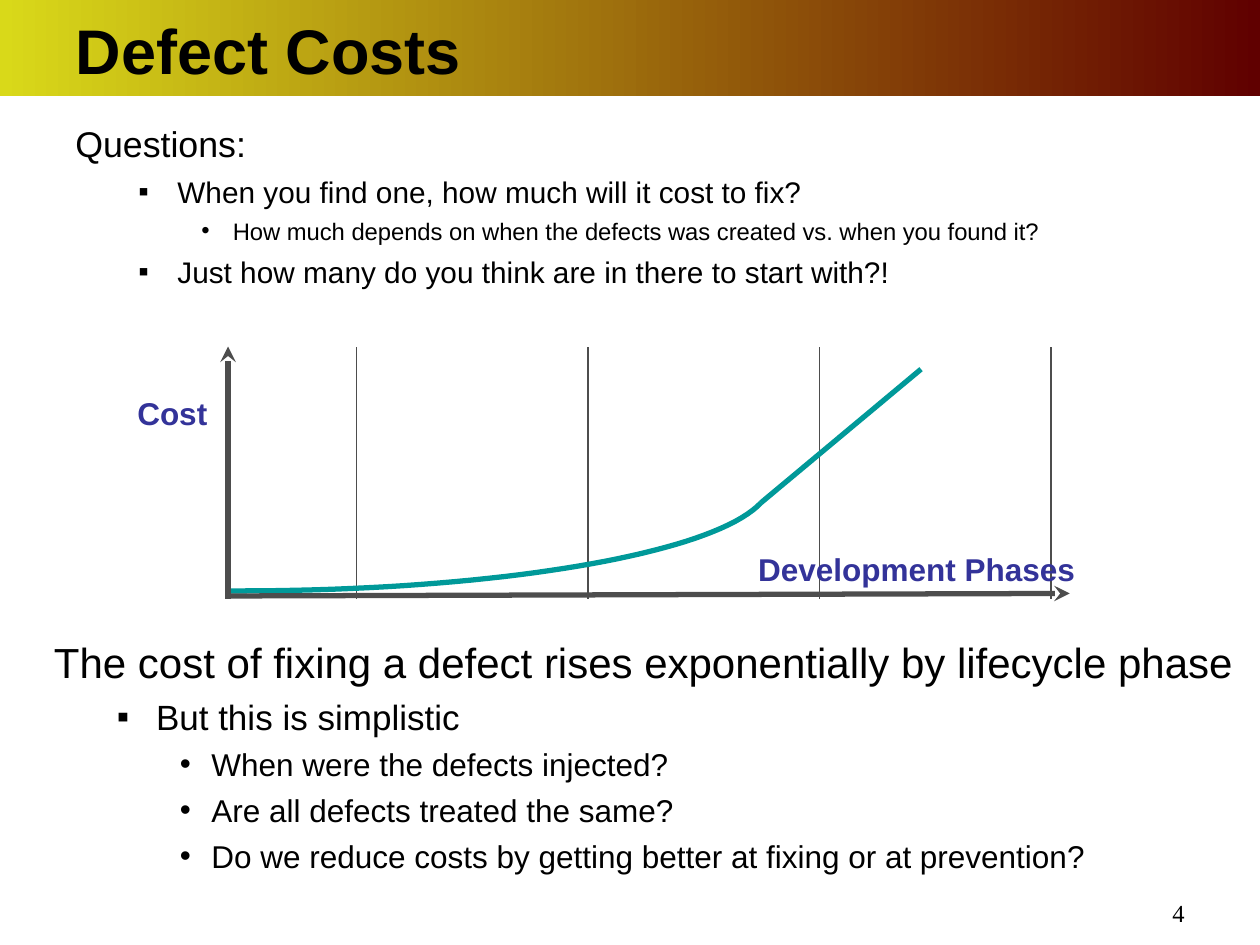
from lxml import etree
from pptx import Presentation
from pptx.dml.color import RGBColor
from pptx.enum.shapes import MSO_CONNECTOR, MSO_SHAPE
from pptx.enum.text import MSO_ANCHOR, PP_ALIGN
from pptx.oxml.ns import qn
from pptx.util import Inches, Pt

STRAIGHT = MSO_CONNECTOR.STRAIGHT
RECTANGLE = MSO_SHAPE.RECTANGLE
TOP, MIDDLE = MSO_ANCHOR.TOP, MSO_ANCHOR.MIDDLE
LEFT, CENTER, RIGHT = PP_ALIGN.LEFT, PP_ALIGN.CENTER, PP_ALIGN.RIGHT

WIDTH, HEIGHT = 10, 7.5
COLORS = {"text": "000000", "label": "333399", "axis": "4D4D4D", "curve": "009999",
          "band_start": "D9D919", "band_end": "600000"}

TITLE = "Defect Costs"
PAGE_NUMBER = "4"
QUESTIONS = [
    (0, "Questions:"),
    (1, "When you find one, how much will it cost to fix?"),
    (2, "How much depends on when the defects was created vs. when you found it?"),
    (1, "Just how many do you think are in there to start with?!"),
]
CONCLUSIONS = [
    (0, "The cost of fixing a defect rises exponentially by lifecycle phase"),
    (1, "But this is simplistic"),
    (2, "When were the defects injected?"),
    (2, "Are all defects treated the same?"),
    (2, "Do we reduce costs by getting better at fixing or at prevention?"),
]
LEVELS = [(0.38, -0.38, None), (0.81, -0.31, "▪"), (1.25, -0.25, "•")]

CHART_TOP, CHART_BOTTOM = 2.75, 4.75
PHASE_COUNT, FIRST_PHASE, PHASE_WIDTH = 4, 2.83, 1.837
CURVE_START = (1.82, 4.69)
CURVE_CONTROLS = [(1.9, 4.69), (3.92, 4.69), (5.66, 4.4), (6.04, 3.99)]
CURVE_STEPS = 40


def rgb(name):
    return RGBColor.from_string(COLORS[name])


def set_bullet(paragraph, level):
    margin, indent, character = LEVELS[level]
    properties = paragraph._p.get_or_add_pPr()
    properties.set("marL", str(Inches(margin)))
    properties.set("indent", str(Inches(indent)))
    if level:
        properties.set("lvl", str(level))
    if character:
        etree.SubElement(properties, qn("a:buFont"), typeface="Arial")
        etree.SubElement(properties, qn("a:buChar"), char=character)
    else:
        etree.SubElement(properties, qn("a:buNone"))


def write_text(shape, items, sizes, color="text", font="Arial", bold=False, align=LEFT,
               anchor=TOP, spacing=None, gaps=(0,), insets=(0.1, 0.05)):
    frame = shape.text_frame
    frame.word_wrap = True
    frame.vertical_anchor = anchor
    frame.margin_left = frame.margin_right = Inches(insets[0])
    frame.margin_top = frame.margin_bottom = Inches(insets[1])
    for index, (level, text) in enumerate(items):
        paragraph = frame.add_paragraph() if index else frame.paragraphs[0]
        paragraph.text = text
        paragraph.alignment = align
        if spacing:
            paragraph.line_spacing = spacing
        paragraph.space_before = Pt(gaps[level] if index else 0)
        set_bullet(paragraph, level) if len(items) > 1 else None
        paragraph.font.size = Pt(sizes[level])
        paragraph.font.name = font
        paragraph.font.bold = bold
        paragraph.font.color.rgb = rgb(color)


def add_text(slide, box, items, sizes, **formatting):
    shape = slide.shapes.add_textbox(*map(Inches, box))
    write_text(shape, items, sizes, **formatting)


def add_line(slide, start, end, color, width, arrow=False):
    line = slide.shapes.add_connector(STRAIGHT, *map(Inches, (*start, *end)))
    line.line.color.rgb = rgb(color)
    line.line.width = Pt(width)
    if arrow:
        etree.SubElement(line.line._get_or_add_ln(), qn("a:tailEnd"), type="stealth")
    etree.SubElement(line._element.spPr, qn("a:effectLst"))


def bezier(controls, share):
    weights = [(1 - share) ** 3, 3 * share * (1 - share) ** 2,
               3 * share ** 2 * (1 - share), share ** 3]
    return tuple(Inches(sum(w * point[axis] for w, point in zip(weights, controls)))
                 for axis in (0, 1))


def add_band(slide, title):
    band = slide.shapes.add_shape(RECTANGLE, 0, 0, Inches(WIDTH), Inches(0.76))
    band.shadow.inherit = False
    band.line.fill.background()
    band.fill.gradient()
    band.fill.gradient_angle = 0
    for stop, position, name in zip(band.fill.gradient_stops, (0, 1), ("band_start", "band_end")):
        stop.position = position
        stop.color.rgb = rgb(name)
    title._element.addprevious(band._element)


def add_cost_chart(slide):
    for phase in range(PHASE_COUNT):
        x = FIRST_PHASE + phase * PHASE_WIDTH
        add_line(slide, (x, CHART_BOTTOM), (x, CHART_TOP), "axis", 1)
    add_line(slide, CURVE_CONTROLS[-1], (7.31, 2.93), "curve", 3)
    builder = slide.shapes.build_freeform(*map(Inches, CURVE_START))
    builder.add_line_segments([bezier(CURVE_CONTROLS, step / CURVE_STEPS)
                               for step in range(CURVE_STEPS + 1)], close=False)
    curve = builder.convert_to_shape()
    curve.shadow.inherit = False
    curve.fill.background()
    curve.line.color.rgb = rgb("curve")
    curve.line.width = Pt(3)
    add_line(slide, (1.81, CHART_BOTTOM), (1.81, CHART_TOP), "axis", 3, arrow=True)
    add_line(slide, (1.82, 4.73), (8.49, 4.71), "axis", 3, arrow=True)
    label = dict(color="label", bold=True, spacing=0.9, insets=(0.09, 0.04))
    add_text(slide, (1, 3.12, 0.84, 0.36), [(0, "Cost")], [18], **label)
    add_text(slide, (5.55, 4.36, 3.45, 0.36), [(0, "Development Phases")], [18],
             align=CENTER, **label)


def main():
    presentation = Presentation()
    presentation.slide_width, presentation.slide_height = Inches(WIDTH), Inches(HEIGHT)
    slide = presentation.slides.add_slide(presentation.slide_layouts[5])
    title = slide.shapes.title
    title.left, title.top, title.width, title.height = map(Inches, (0.5, 0, 9, 0.78))
    write_text(title, [(0, TITLE)], [36], bold=True, anchor=MIDDLE)
    add_band(slide, title)
    add_text(slide, (7.17, 7.08, 2.33, 0.27), [(0, PAGE_NUMBER)], [14],
             font="Times New Roman", align=RIGHT)
    add_text(slide, (0.5, 0.92, 9, 1.5), QUESTIONS, [20.4, 17, 13.6], gaps=(6, 5, 4))
    add_cost_chart(slide)
    add_text(slide, (0.33, 5, 9.58, 2.17), CONCLUSIONS, [24, 20, 18], gaps=(6, 5, 4.5))
    presentation.save("out.pptx")


if __name__ == "__main__":
    main()
